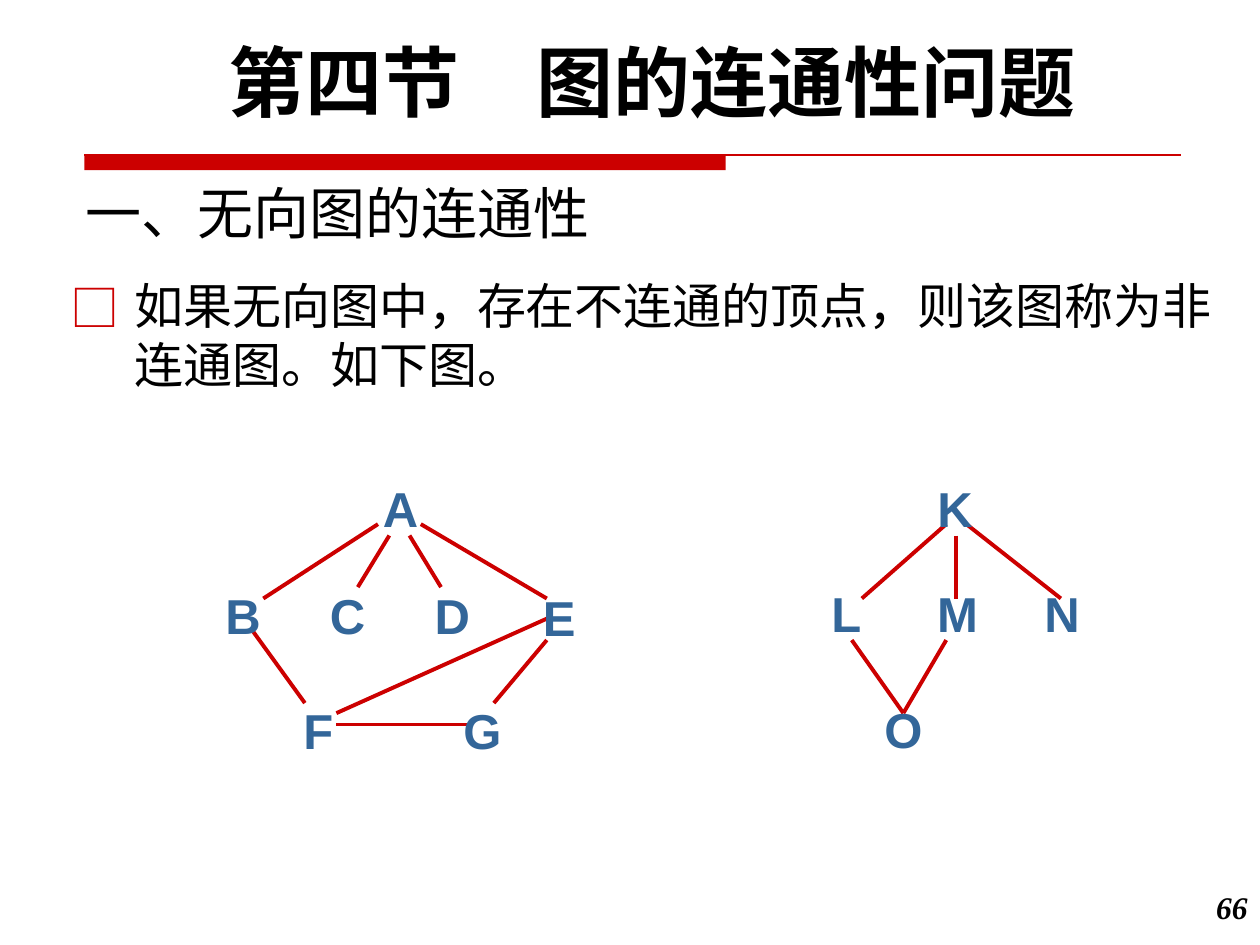
from lxml import etree
from pptx import Presentation
from pptx.dml.color import RGBColor
from pptx.enum.shapes import MSO_CONNECTOR, MSO_SHAPE
from pptx.enum.text import MSO_ANCHOR, PP_ALIGN
from pptx.oxml.ns import qn
from pptx.util import Inches, Pt

LINE, RECT = MSO_CONNECTOR.STRAIGHT, MSO_SHAPE.RECTANGLE
TOP, BOTTOM = MSO_ANCHOR.TOP, MSO_ANCHOR.BOTTOM
LEFT, CENTER, RIGHT = PP_ALIGN.LEFT, PP_ALIGN.CENTER, PP_ALIGN.RIGHT

RED, BLUE, BLACK = "CC0000", "336699", "000000"
HAN = "Noto Sans CJK SC"
HEAD = {"name": "Karla", "size": Pt(44), "bold": True}
TOPIC = {"name": HAN, "size": Pt(32)}
BODY = {"name": HAN, "size": Pt(28)}
NODE = {"name": "Arial", "size": Pt(28), "bold": True}
PAGE = {"name": "Times New Roman", "size": Pt(18), "bold": True, "italic": True}

# Letter box widths that differ from the usual one
WIDTHS = {"E": 0.46, "F": 0.44, "L": 0.44, "G": 0.5, "O": 0.5, "M": 0.53}

# Node places and edge ends, measured from the corner of each graph
FIRST = {
    "nodes": {"A": (1.25, 0), "B": (0, 0.85), "C": (0.83, 0.85),
              "D": (1.66, 0.85), "E": (2.52, 0.86),
              "F": (0.62, 1.76), "G": (1.89, 1.76)},
    "edges": [(1.31, 0.41, 0.4, 1), (1.4, 0.5, 1.15, 0.91),
              (1.56, 0.5, 1.81, 0.91), (1.65, 0.41, 2.65, 1),
              (0.31, 1.25, 0.73, 1.83), (2.65, 1.33, 2.23, 1.83),
              (2.65, 1.16, 0.98, 1.91), (0.98, 2, 2.06, 2)],
}
SECOND = {
    "nodes": {"K": (0.84, 0), "L": (0, 0.83), "M": (0.84, 0.83),
              "N": (1.69, 0.83), "O": (0.42, 1.75)},
    "edges": [(1.01, 0.41, 0.34, 1), (1.09, 0.5, 1.09, 1),
              (1.17, 0.41, 1.92, 1), (0.26, 1.33, 0.67, 1.91),
              (1.01, 1.33, 0.67, 1.91)],
}


def color(code):
    return RGBColor.from_string(code)


def add_text(slide, box, text, style, tint=BLACK, align=LEFT, anchor=TOP, wrap=True):
    frame = slide.shapes.add_textbox(*map(Inches, box)).text_frame
    frame.word_wrap = wrap
    frame.vertical_anchor = anchor
    para = frame.paragraphs[0]
    para.alignment = align
    run = para.add_run()
    run.text = text
    for key, value in style.items():
        setattr(run.font, key, value)
    run.font.color.rgb = color(tint)
    # Chinese glyphs take the East Asian font
    etree.SubElement(run.font._element, qn("a:ea"), typeface=HAN)
    return para


def add_line(slide, ends, width):
    line = slide.shapes.add_connector(LINE, *map(Inches, ends))
    line.line.color.rgb = color(RED)
    line.line.width = Pt(width)
    etree.SubElement(line._element.spPr, qn("a:effectLst"))


def add_bullet(para, mark, indent):
    props = para._p.get_or_add_pPr()
    props.set("marL", str(Inches(indent)))
    props.set("indent", str(-Inches(indent)))
    tint = etree.SubElement(props, qn("a:buClr"))
    etree.SubElement(tint, qn("a:srgbClr"), val=RED)
    etree.SubElement(props, qn("a:buFont"), typeface=HAN)
    etree.SubElement(props, qn("a:buChar"), char=mark)


def add_rule(slide, left, top, width, height):
    # Thick bar over the first part, thin line over the full width
    bar = slide.shapes.add_shape(RECT, Inches(left), Inches(top),
                                 Inches(5.09), Inches(height))
    bar.shadow.inherit = False
    bar.fill.solid()
    bar.fill.fore_color.rgb = color(RED)
    bar.line.fill.background()
    add_line(slide, (left, top, left + width, top), 0.75)


def add_header(slide, left, top, width, height):
    para = add_text(slide, (left, top, width, height),
                    "第四节　图的连通性问题", HEAD, align=CENTER)
    para.line_spacing = 0.9
    add_rule(slide, 0.67, top + 0.92, 8.7, 0.12)


def add_body(slide, left, top, width, height):
    add_text(slide, (left + 0.12, top, 8.25, 0.75),
             "一、无向图的连通性", TOPIC, anchor=BOTTOM)
    para = add_text(slide, (left, top + 0.89, width, height - 0.89),
                    "如果无向图中，存在不连通的顶点，则该图称为非连通图。如下图。", BODY)
    add_bullet(para, "□", 0.51)


def add_graph(slide, left, top, graph):
    for x1, y1, x2, y2 in graph["edges"]:
        add_line(slide, (left + x1, top + y1, left + x2, top + y2), 2.25)
    for name, (x, y) in graph["nodes"].items():
        box = (left + x, top + y, WIDTHS.get(name, 0.48), 0.57)
        add_text(slide, box, name, NODE, BLUE, wrap=False)


def main():
    deck = Presentation()
    deck.slide_width, deck.slide_height = Inches(10), Inches(7.5)
    slide = deck.slides.add_slide(deck.slide_layouts[6])
    add_header(slide, 0.55, 0.31, 9.25, 0.77)
    add_body(slide, 0.46, 1.25, 9.58, 2.08)
    add_graph(slide, 1.69, 3.75, FIRST)
    add_graph(slide, 6.5, 3.75, SECOND)
    # Page number
    add_text(slide, (9.33, 7, 0.67, 0.5), "66", PAGE, align=RIGHT)
    deck.save("out.pptx")


if __name__ == "__main__":
    main()
